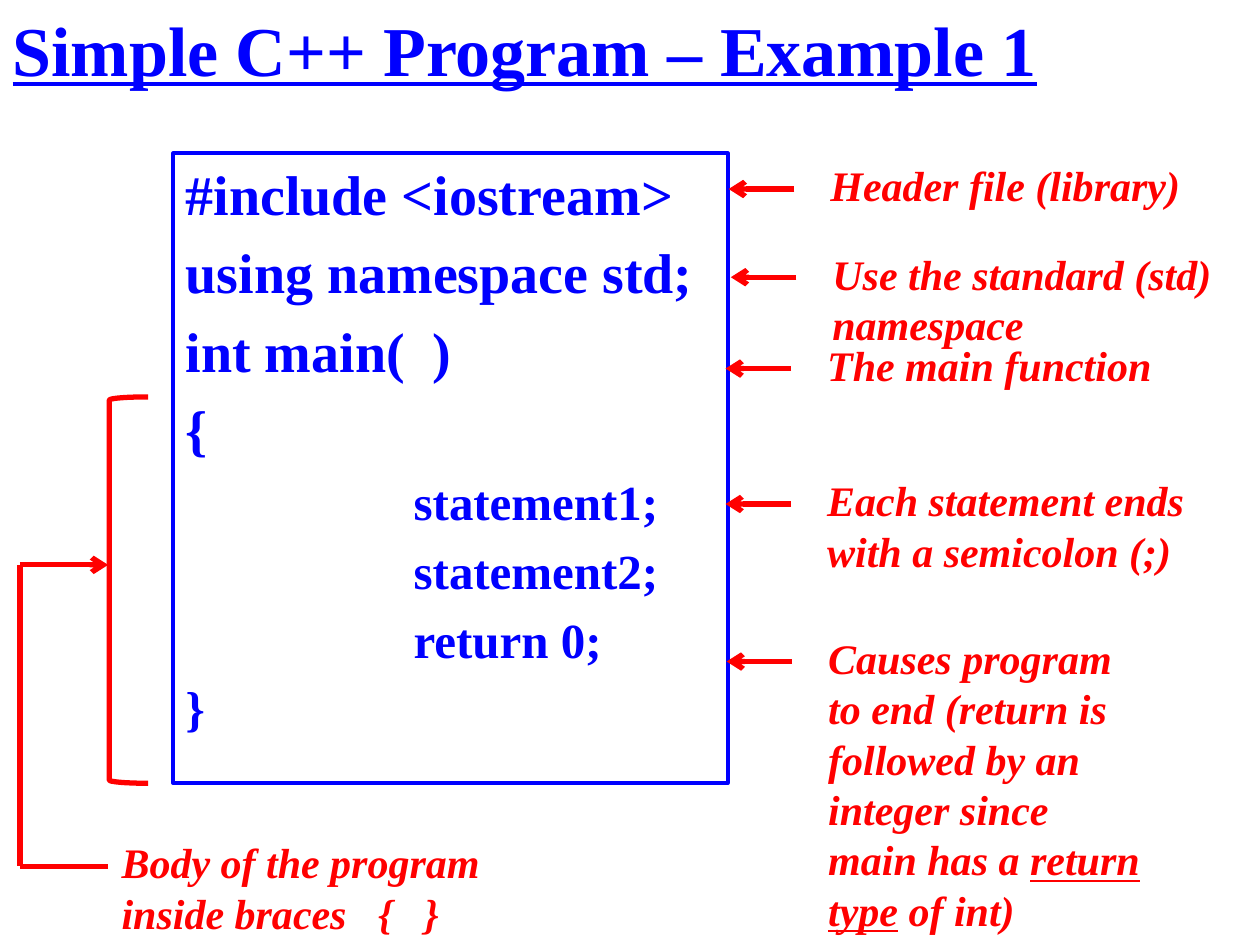
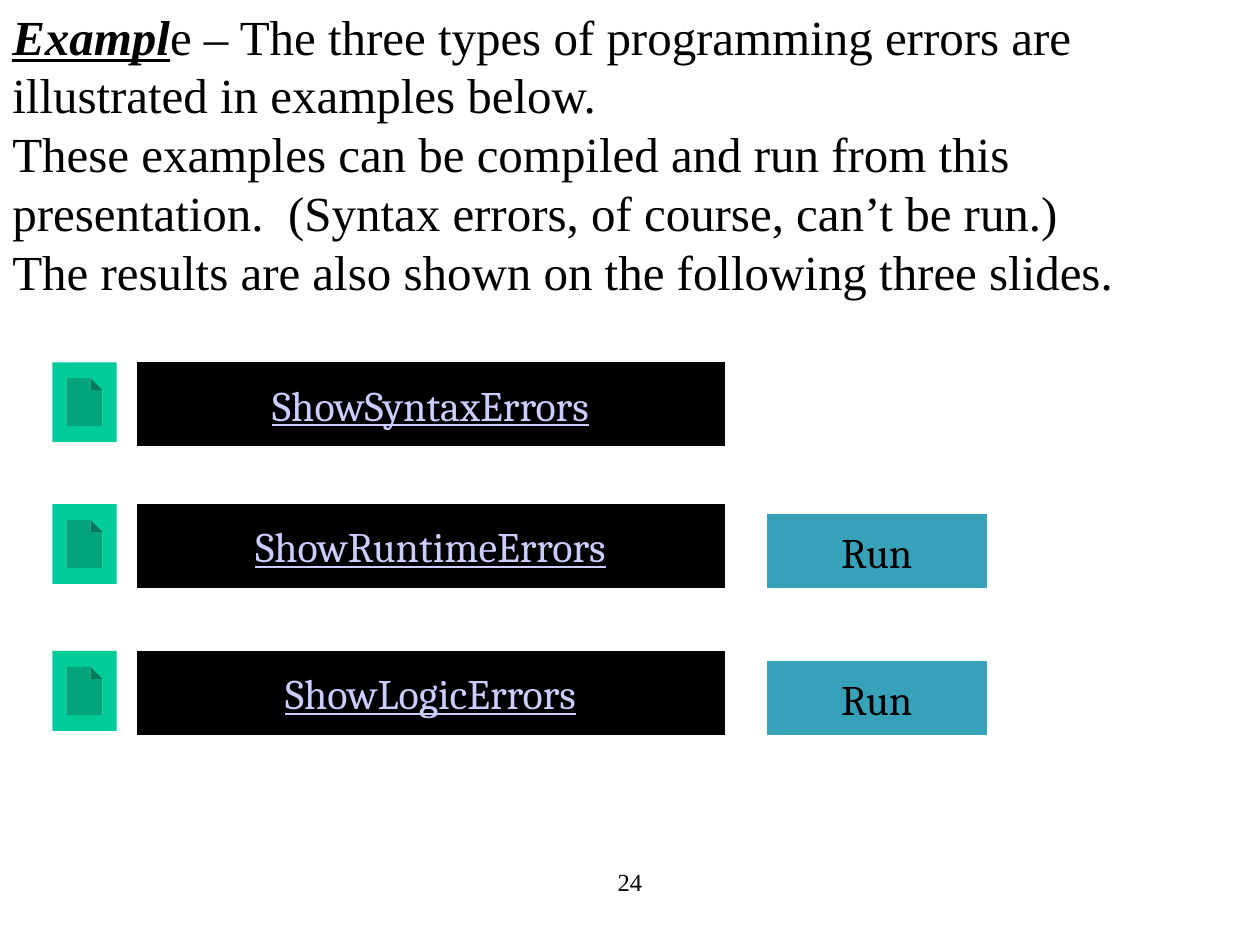
"""Build two slides on C++: an annotated program and the kinds of programming errors."""
from dataclasses import dataclass, replace
from typing import NamedTuple

from lxml.etree import SubElement
from pptx import Presentation
from pptx.dml.color import RGBColor
from pptx.enum.shapes import MSO_CONNECTOR, MSO_SHAPE as Preset
from pptx.enum.text import MSO_ANCHOR as Anchor, MSO_AUTO_SIZE, PP_ALIGN as Align
from pptx.oxml.ns import qn
from pptx.shapes.autoshape import Shape
from pptx.slide import Slide
from pptx.text.text import Font, TextFrame
from pptx.util import Inches, Length, Pt

COLUMNS, ROWS = 120, 90
SLIDE_WIDTH, SLIDE_HEIGHT = Inches(10), Inches(7.5)
TITLE_ONLY, BLANK = 5, 6

BLUE = RGBColor(0x00, 0x00, 0xFF)
RED = RGBColor(0xFF, 0x00, 0x00)
BLACK = RGBColor(0x00, 0x00, 0x00)
LAVENDER = RGBColor(0xCC, 0xCC, 0xFF)
GREEN = RGBColor(0x00, 0xCC, 0x99)
TEAL = RGBColor(0x38, 0xA1, 0xBA)
SERIF, BUTTON_FONT = "Times New Roman", "Cambria"


@dataclass(frozen=True)
class TextStyle:
    """Font settings and alignment of a paragraph."""
    size: int
    color: RGBColor
    name: str = SERIF
    bold: bool = False
    italic: bool = False
    underline: bool = False
    align: Align = Align.LEFT


TITLE = TextStyle(40, BLUE, bold=True, underline=True)
CODE = TextStyle(32, BLUE, bold=True)
SMALL_CODE = replace(CODE, size=28)
CAPTION = TextStyle(24, RED, bold=True, italic=True)
BODY = TextStyle(28, BLACK)
PAGE_NUMBER = TextStyle(14, BLACK, align=Align.CENTER)
RUN_LABEL = TextStyle(24, BLACK, BUTTON_FONT, align=Align.CENTER)
LINK_LABEL = replace(RUN_LABEL, color=LAVENDER, underline=True)


class Box(NamedTuple):
    """Left, top, width and height in grid cells."""
    left: float
    top: float
    width: float
    height: float


class Piece(NamedTuple):
    """Words whose style differs from the rest of their paragraph."""
    text: str
    style: TextStyle


class CodeLine(NamedTuple):
    """A line of the program with its left margin and hanging indent in inches."""
    text: str
    style: TextStyle = CODE
    margin: float = 0.38
    hanging: float = 0.38


class Callout(NamedTuple):
    """A caption beside the program and the arrow tip that belongs to it."""
    tip: float
    row: float
    width: float
    height: float
    pieces: tuple[str | Piece, ...]


class Example(NamedTuple):
    """A program that can be opened, and perhaps run, from the slide."""
    name: str
    row: float
    runnable: bool


CODE_LINES = (
    CodeLine("#include <iostream>"),
    CodeLine("using namespace std;"),
    CodeLine("int main(  )"),
    CodeLine("{"),
    *(CodeLine(text, SMALL_CODE, 1.81, 0)
      for text in ("statement1;", "statement2;", "return 0;")),
    CodeLine("}", SMALL_CODE, 0.81, 0.81),
)

CALLOUTS = (
    Callout(69.4, 18, 37.3, 6, ("Header file (library)",)),
    Callout(69.6, 26.4, 41.8, 10.9, ("Use the standard (std) namespace",)),
    Callout(69.1, 35.1, 33.6, 6, ("The main function",)),
    Callout(69.1, 48, 37.6, 10.9, ("Each statement ends with a semicolon (;)",)),
    Callout(69.2, 63, 32.2, 30.2, (
        "Causes program to end (return is followed by an integer since main has a ",
        Piece("return type", replace(CAPTION, underline=True)),
        " of int)")),
)

INTRODUCTION = (
    (Piece("Exampl", replace(BODY, bold=True, italic=True, underline=True)),
     "e – The three types of programming errors are illustrated in examples below."),
    ("These examples can be compiled and run from this presentation.  "
     "(Syntax errors, of course, can’t be run.)",),
    ("The results are also shown on the following three slides.",),
)

EXAMPLES = (
    Example("ShowSyntaxErrors", 34.5, False),
    Example("ShowRuntimeErrors", 48, True),
    Example("ShowLogicErrors", 62, True),
)


def across(columns: float) -> Length:
    """Convert grid columns to a length."""
    return Length(round(SLIDE_WIDTH * columns / COLUMNS))


def down(rows: float) -> Length:
    """Convert grid rows to a length."""
    return Length(round(SLIDE_HEIGHT * rows / ROWS))


def place(box: Box) -> tuple[Length, Length, Length, Length]:
    """Convert a box to left, top, width and height."""
    return across(box.left), down(box.top), across(box.width), down(box.height)


def style_font(font: Font, style: TextStyle) -> None:
    """Apply a style to the font of a paragraph or run."""
    font.name, font.size = style.name, Pt(style.size)
    font.bold, font.italic, font.underline = style.bold, style.italic, style.underline
    font.color.rgb = style.color


def write(frame: TextFrame, paragraphs: tuple[tuple[str | Piece, ...], ...],
          style: TextStyle) -> None:
    """Fill a text frame with paragraphs of plain and differing pieces."""
    frame.word_wrap = True
    for index, pieces in enumerate(paragraphs):
        paragraph = frame.add_paragraph() if index else frame.paragraphs[0]
        paragraph.alignment = style.align
        style_font(paragraph.font, style)
        for piece in pieces:
            run = paragraph.add_run()
            if isinstance(piece, Piece):
                run.text = piece.text
                style_font(run.font, piece.style)
            else:
                run.text = piece


def add_text(slide: Slide, box: Box, paragraphs: tuple[tuple[str | Piece, ...], ...],
             style: TextStyle) -> None:
    """Add a text box."""
    write(slide.shapes.add_textbox(*place(box)).text_frame, paragraphs, style)


def add_preset(slide: Slide, preset: Preset, box: Box, fill: RGBColor | None = None,
               line: RGBColor | None = None, weight: float = 0) -> Shape:
    """Add a preset shape with an optional fill and outline."""
    shape = slide.shapes.add_shape(preset, *place(box))
    shape.shadow.inherit = False
    if fill is None:
        shape.fill.background()
    else:
        shape.fill.solid()
        shape.fill.fore_color.rgb = fill
    if line is None:
        shape.line.fill.background()
    else:
        shape.line.color.rgb = line
        shape.line.width = Pt(weight)
    return shape


def add_line(slide: Slide, start: tuple[float, float], end: tuple[float, float],
             arrow: bool = False) -> None:
    """Add a red line between two grid points, with an arrowhead at its end if asked."""
    connector = slide.shapes.add_connector(
        MSO_CONNECTOR.STRAIGHT, across(start[0]), down(start[1]), across(end[0]), down(end[1]))
    connector.line.color.rgb = RED
    connector.line.width = Pt(3)
    properties = connector._element.spPr
    if arrow:
        SubElement(properties.find(qn("a:ln")), qn("a:tailEnd"), type="arrow")
    SubElement(properties, qn("a:effectLst"))


def add_title(slide: Slide, text: str) -> None:
    """Move the title placeholder to the top left and fill it."""
    title = slide.shapes.title
    title.left, title.top, title.width, title.height = place(Box(0, 0, 106, 9.7))
    title.text_frame.auto_size = MSO_AUTO_SIZE.NONE
    title.text_frame.vertical_anchor = Anchor.TOP
    write(title.text_frame, ((text,),), TITLE)


def add_program(slide: Slide) -> None:
    """Add the framed program."""
    frame = add_preset(slide, Preset.RECTANGLE, Box(16.5, 14.6, 52.8, 60),
                       line=BLUE, weight=2.25).text_frame
    frame.vertical_anchor = Anchor.TOP
    write(frame, tuple((line.text,) for line in CODE_LINES), CODE)
    for index, (paragraph, line) in enumerate(zip(frame.paragraphs, CODE_LINES)):
        style_font(paragraph.font, line.style)
        paragraph.space_before = Pt(0.2 * line.style.size if index else 0)
        indents = paragraph._p.get_or_add_pPr()
        indents.set("marL", str(Inches(line.margin)))
        indents.set("indent", str(-Inches(line.hanging)))


def add_callout(slide: Slide, callout: Callout) -> None:
    """Add a caption and the arrow from it to the program."""
    box = Box(callout.tip + 8.5, callout.row - 3.36, callout.width, callout.height)
    add_text(slide, box, (callout.pieces,), CAPTION)
    add_line(slide, (callout.tip + 6.25, callout.row), (callout.tip, callout.row), arrow=True)


def add_body_note(slide: Slide) -> None:
    """Add the bracket around the program body, its caption and the line joining them."""
    add_preset(slide, Preset.LEFT_BRACKET, Box(10.4, 37.8, 3.7, 36.8), line=RED, weight=3)
    add_text(slide, Box(10.4, 79.1, 44.6, 10.9),
             (("Body of the program inside braces   {   }",),), CAPTION)
    spine, edge, top, bottom = 1.9, 10.3, 53.8, 82.5
    add_line(slide, (spine, top), (edge, top), arrow=True)
    add_line(slide, (spine, top), (spine, bottom))
    add_line(slide, (spine, bottom), (edge, bottom))


def add_button(slide: Slide, box: Box, label: str, fill: RGBColor, style: TextStyle) -> None:
    """Add a labelled button."""
    frame = add_preset(slide, Preset.ACTION_BUTTON_CUSTOM, box, fill).text_frame
    frame.vertical_anchor = Anchor.MIDDLE
    write(frame, ((label,),), style)


def add_example(slide: Slide, example: Example) -> None:
    """Add a row with a document icon, the program's name and a run button."""
    add_preset(slide, Preset.ACTION_BUTTON_DOCUMENT, Box(5, example.row, 6.1, 7.6), GREEN)
    add_button(slide, Box(13, example.row, 56, 8), example.name, BLACK, LINK_LABEL)
    if example.runnable:
        add_button(slide, Box(73, example.row + 1, 21, 7), "Run", TEAL, RUN_LABEL)


def main() -> None:
    """Build and save the presentation."""
    presentation = Presentation()
    presentation.slide_width, presentation.slide_height = SLIDE_WIDTH, SLIDE_HEIGHT
    layouts = presentation.slide_layouts

    program_slide = presentation.slides.add_slide(layouts[TITLE_ONLY])
    add_title(program_slide, "Simple C++ Program – Example 1")
    add_program(program_slide)
    for callout in CALLOUTS:
        add_callout(program_slide, callout)
    add_body_note(program_slide)

    errors_slide = presentation.slides.add_slide(layouts[BLANK])
    add_text(errors_slide, Box(0, 0, 120, 29.5), INTRODUCTION, BODY)
    for example in EXAMPLES:
        add_example(errors_slide, example)
    add_text(errors_slide, Box(41, 82, 38, 6), (("24",),), PAGE_NUMBER)

    presentation.save("out.pptx")


if __name__ == "__main__":
    main()
